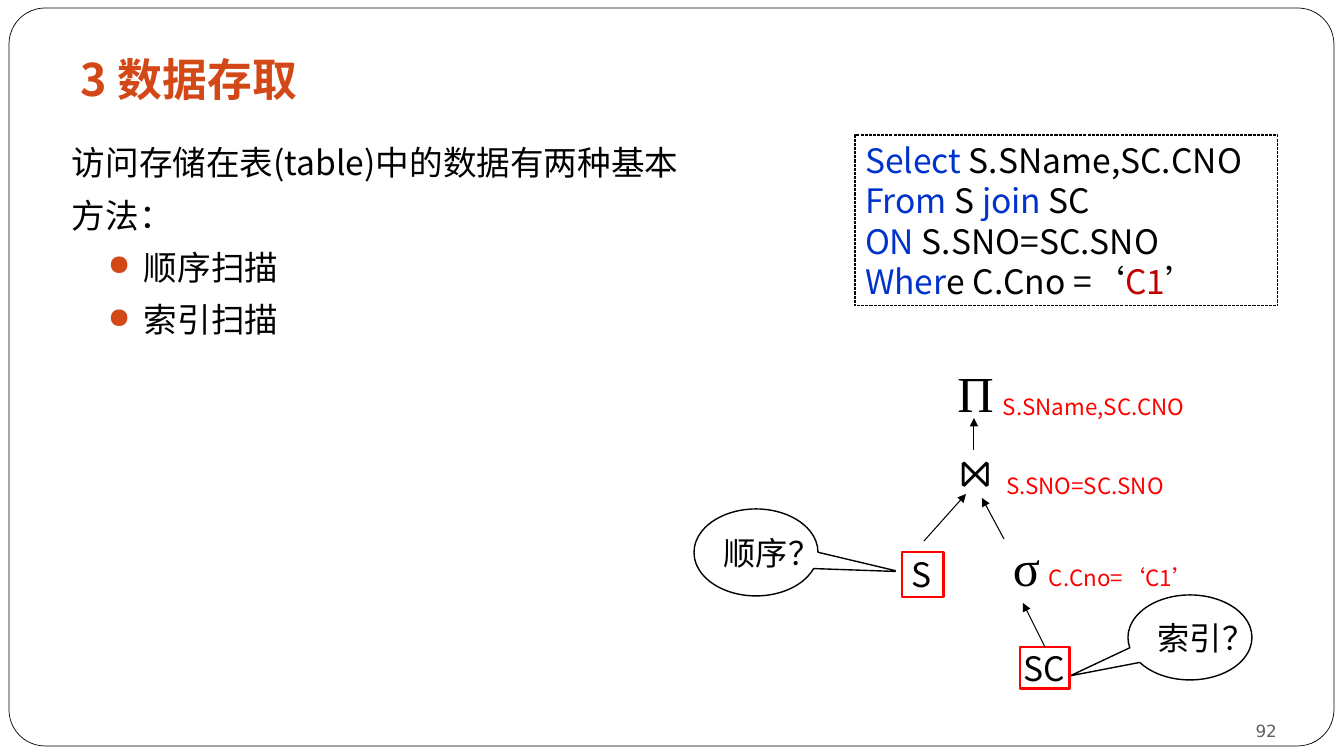
from lxml import etree
from pptx import Presentation
from pptx.dml.color import RGBColor
from pptx.enum.dml import MSO_LINE
from pptx.enum.shapes import MSO_CONNECTOR, MSO_SHAPE
from pptx.enum.text import MSO_ANCHOR, PP_ALIGN
from pptx.oxml.ns import qn
from pptx.util import Pt

PX = 914400 / 100.8
RECT, ROUNDED = MSO_SHAPE.RECTANGLE, MSO_SHAPE.ROUNDED_RECTANGLE
CALLOUT = MSO_SHAPE.OVAL_CALLOUT
STRAIGHT, DASH = MSO_CONNECTOR.STRAIGHT, MSO_LINE.SQUARE_DOT
LEFT, CENTER, RIGHT = PP_ALIGN.LEFT, PP_ALIGN.CENTER, PP_ALIGN.RIGHT
TOP, MIDDLE, BOTTOM = MSO_ANCHOR.TOP, MSO_ANCHOR.MIDDLE, MSO_ANCHOR.BOTTOM
SANS, SERIF, NUMERAL = "Noto Sans CJK SC", "Times New Roman", "DejaVu Sans"
BLACK, WHITE, RED = "000000", "FFFFFF", "FF0000"
ORANGE, BLUE, DARK_RED, GREY = "D34817", "0033CC", "C00000", "646060"
TOP_SIDE = 0


def px(length):
    return round(length * PX)


def color(hex_code):
    return RGBColor.from_string(hex_code)


def add_bullet(para):
    props = para._p.get_or_add_pPr()
    props.set("marL", str(px(72)))
    props.set("indent", str(px(-36)))
    tint = etree.SubElement(props, qn("a:buClr"))
    etree.SubElement(tint, qn("a:srgbClr"), val=ORANGE)
    etree.SubElement(props, qn("a:buSzPct"), val="85000")
    etree.SubElement(props, qn("a:buChar"), char="●")


def write_text(shape, lines, size=24, font=SANS, fill=BLACK, bold=False, align=LEFT,
               anchor=TOP, insets=(10, 5), wrap=True, spacing=None, bullets_from=None):
    """Each line is a string or a list of (text, colour) spans."""
    frame = shape.text_frame
    frame.word_wrap = wrap
    frame.vertical_anchor = anchor
    frame.margin_left = frame.margin_right = px(insets[0])
    frame.margin_top = frame.margin_bottom = px(insets[1])
    for index, line in enumerate(lines):
        para = frame.paragraphs[0] if index == 0 else frame.add_paragraph()
        para.alignment = align
        para._p.get_or_add_pPr().set("hangingPunct", "1")
        if spacing:
            para.line_spacing = spacing
        if bullets_from is not None and index >= bullets_from:
            add_bullet(para)
        for text, tint in [(line, fill)] if isinstance(line, str) else line:
            span = para.add_run()
            span.text = text
            span.font.size = Pt(size)
            span.font.bold = bold
            span.font.name = font
            span.font.color.rgb = color(tint)
            east_asian = etree.SubElement(span._r.get_or_add_rPr(), qn("a:ea"))
            east_asian.set("typeface", font)


def add_text(page, box, lines, **style):
    shape = page.shapes.add_textbox(*map(px, box))
    write_text(shape, lines, **style)
    return shape


def add_box(page, box, kind=RECT, fill=None, line=None, width=1, adjust=()):
    shape = page.shapes.add_shape(kind, *map(px, box))
    shape.shadow.inherit = False
    for index, value in enumerate(adjust):
        shape.adjustments[index] = value
    if fill:
        shape.fill.solid()
        shape.fill.fore_color.rgb = color(fill)
    else:
        shape.fill.background()
    if line:
        shape.line.color.rgb = color(line)
        shape.line.width = Pt(width)
    else:
        shape.line.fill.background()
    return shape


def add_arrow(page, start, end, source=None):
    arrow = page.shapes.add_connector(STRAIGHT, *map(px, start + end))
    if source is not None:
        arrow.begin_connect(source, TOP_SIDE)
    arrow.line.color.rgb = color(BLACK)
    arrow.line.width = Pt(0.75)
    etree.SubElement(arrow.line._get_or_add_ln(), qn("a:tailEnd"), type="triangle")
    etree.SubElement(arrow._element.spPr, qn("a:effectLst"))


def build_frame(page, box):
    left, top, width, height = box
    add_box(page, box, ROUNDED, fill=WHITE, line=BLACK, width=0.5, adjust=[0.049])
    add_text(page, (left + 62, top + 39, 792, 65), ["3 数据存取"],
             size=32, fill=ORANGE, bold=True)
    # Page number
    add_text(page, (left + width - 169, top + height - 45, 112, 40), ["92"], size=12,
             font=NUMERAL, fill=GREY, align=RIGHT, anchor=BOTTOM, insets=(0, 0))


def build_methods(page, box):
    lines = ["访问存储在表(table)中的数据有两种基本方法：", "顺序扫描", "索引扫描"]
    add_text(page, box, lines, insets=(12, 6), spacing=1.3, bullets_from=1)


def build_query(page, box):
    panel = add_box(page, box, fill=WHITE, line=BLACK, width=0.75)
    panel.line.dash_style = DASH
    write_text(panel, [
        [("Select ", BLUE), ("S.SName,SC.CNO", BLACK)],
        [("From", BLUE), (" S ", BLACK), ("join", BLUE), (" SC", BLACK)],
        [("ON", BLUE), (" S.SNO=SC.SNO", BLACK)],
        [("Wher", BLUE), ("e C.Cno =‘", BLACK), ("C1", DARK_RED), ("’", BLACK)],
    ], anchor=MIDDLE, wrap=False)


def build_plan_tree(page, box):
    left, top = box[:2]

    def at(x, y, *size):
        return (left + x, top + y, *size)

    # Access method callouts
    for place, tail, question in [
        (at(4, 159, 124, 87), (1.155, 0.22), "顺序？"),
        (at(438, 245, 124, 85), (-0.966, 0.451), "索引？"),
    ]:
        callout = add_box(page, place, CALLOUT, line=BLACK, adjust=tail)
        write_text(callout, [question], size=23, align=CENTER, anchor=MIDDLE)

    # White backing behind the tables
    add_box(page, at(356, 276, 45, 24), fill=WHITE)
    backing_s = add_box(page, at(206, 191, 56, 45), fill=WHITE)

    # Operators
    for place, symbol in [(at(313, 181, 41, 72), "σ"), (at(256, 82, 59, 72), "⋈"),
                          (at(256, 7, 59, 72), "Π")]:
        add_text(page, place, [symbol], size=36, font=SERIF, align=CENTER)

    # Operator conditions
    for place, condition in [(at(306, 117, 211, 37), "S.SNO=SC.SNO"),
                             (at(303, 38, 211, 37), "S.SName,SC.CNO"),
                             (at(349, 209, 211, 37), "C.Cno=‘C1’")]:
        add_text(page, place, [condition], size=16, fill=RED)

    # Base tables
    add_text(page, at(212, 199, 40, 50), ["S"], wrap=False)
    add_text(page, at(324, 293, 62, 50), ["SC"], wrap=False)
    add_box(page, at(212, 202, 42, 45), line=RED, width=2)
    table_sc = add_box(page, at(330, 297, 50, 42), line=RED, width=2)

    # Data flow
    add_arrow(page, at(234, 191), at(276, 144), backing_s)
    add_arrow(page, at(314, 189), at(292, 148))
    add_arrow(page, at(284, 100), at(284, 68))
    add_arrow(page, at(355, 297), at(333, 253), table_sc)


def main():
    deck = Presentation()
    deck.slide_width, deck.slide_height = px(1344), px(756)
    page = deck.slides.add_slide(deck.slide_layouts[6])
    build_frame(page, (9, 8, 1325, 738))
    build_methods(page, (60, 124, 659, 548))
    build_query(page, (855, 135, 423, 171))
    build_plan_tree(page, (690, 350, 562, 340))
    deck.save("out.pptx")


if __name__ == "__main__":
    main()
